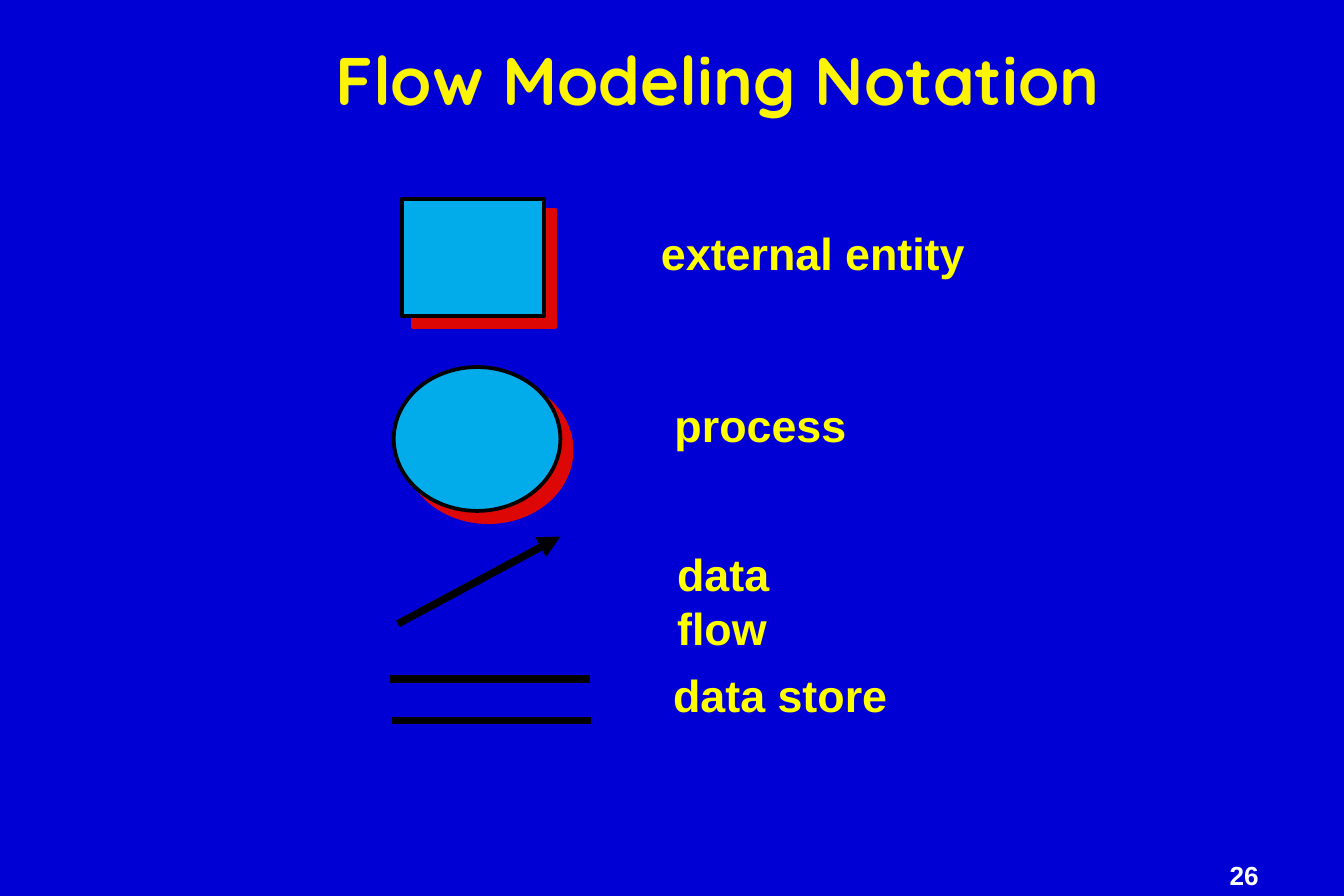
from pptx import Presentation
from pptx.dml.color import RGBColor
from pptx.enum.shapes import MSO_CONNECTOR, MSO_SHAPE
from pptx.enum.text import MSO_ANCHOR as Anchor, MSO_AUTO_SIZE as AutoSize
from pptx.enum.text import PP_ALIGN as Align
from pptx.oxml import parse_xml
from pptx.oxml.ns import nsdecls, qn
from pptx.util import Emu, Inches, Pt

BACKGROUND, YELLOW, LABEL_YELLOW = "0000D4", "FCF305", "FFFF00"
CYAN, RED, BLACK, WHITE = "02ABEA", "DD0806", "000000", "FFFFFF"


def color(hex_string):
    return RGBColor.from_string(hex_string)


class NotationSlide:
    body_font = "Arial"
    title_font = "Quicksand"

    def __init__(self, slide):
        self.slide = slide
        fill = slide.background.fill
        fill.solid()
        fill.fore_color.rgb = color(BACKGROUND)

    def text(self, text, left, top, width, height, size, text_color,
             font=body_font, align=Align.LEFT, anchor=Anchor.TOP,
             wrap=True, spacing=1.0, margins=(0.1, 0.05)):
        box = self.slide.shapes.add_textbox(
            Inches(left), Inches(top), Inches(width), Inches(height))
        frame = box.text_frame
        frame.word_wrap = wrap
        frame.auto_size = AutoSize.SHAPE_TO_FIT_TEXT
        frame.vertical_anchor = anchor
        frame.margin_left = frame.margin_right = Inches(margins[0])
        frame.margin_top = frame.margin_bottom = Inches(margins[1])
        frame.text = text
        paragraph = frame.paragraphs[0]
        paragraph.alignment = align
        paragraph.line_spacing = spacing
        run_font = paragraph.runs[0].font
        run_font.name, run_font.size, run_font.bold = font, Pt(size), True
        run_font.color.rgb = color(text_color)

    def symbol(self, kind, left, top, width, height):
        shape = self.slide.shapes.add_shape(
            kind, Inches(left), Inches(top), Inches(width), Inches(height))
        shape.fill.solid()
        shape.fill.fore_color.rgb = color(CYAN)
        shape.line.color.rgb = color(BLACK)
        shape.line.width = Pt(2)
        # Hard red shadow, down and to the right
        shape.shadow.inherit = False
        effects = shape.element.spPr.find(qn("a:effectLst"))
        effects.append(parse_xml(
            f'<a:outerShdw {nsdecls("a")} blurRad="0" dist="{Pt(8.5)}" '
            f'dir="2700000" algn="ctr" rotWithShape="0">'
            f'<a:srgbClr val="{RED}"/></a:outerShdw>'))

    def line(self, start, end, arrow=False):
        connector = self.slide.shapes.add_connector(
            MSO_CONNECTOR.STRAIGHT, *map(Inches, start + end))
        connector.line.color.rgb = color(BLACK)
        connector.line.width = Pt(4)
        properties = connector.element.spPr
        if arrow:
            properties.find(qn("a:ln")).append(
                parse_xml(f'<a:tailEnd {nsdecls("a")} type="triangle"/>'))
        properties.append(parse_xml(f'<a:effectLst {nsdecls("a")}/>'))


def main():
    presentation = Presentation()
    presentation.slide_width = Inches(10)
    presentation.slide_height = Emu(6092825)
    notation = NotationSlide(
        presentation.slides.add_slide(presentation.slide_layouts[6]))

    # Page number and title
    notation.text("26", 9.08, 6.39, 0.9, 0.27, 14, WHITE,
                  spacing=0.9, margins=(0.07, 0.03))
    notation.text("Flow Modeling Notation", 1.83, 0.31, 7.02, 0.63, 36, YELLOW,
                  font=NotationSlide.title_font, align=Align.CENTER,
                  anchor=Anchor.MIDDLE, spacing=0.88)

    # External entity and process
    notation.symbol(MSO_SHAPE.RECTANGLE, 2.99, 1.48, 1.06, 0.87)
    notation.symbol(MSO_SHAPE.OVAL, 2.93, 2.73, 1.24, 1.07)

    # Data flow arrow and data store bars
    notation.line((2.96, 4.64), (4.17, 3.99), arrow=True)
    notation.line((2.9, 5.05), (4.39, 5.05))
    notation.line((2.92, 5.36), (4.4, 5.36))

    # Labels
    for label, left, top, width in (
            ("external entity", 4.82, 1.63, 2.46),
            ("process", 4.92, 2.91, 1.48),
            ("data flow", 4.94, 4.02, 1.64),
            ("data store", 4.91, 4.92, 1.79)):
        notation.text(label, left, top, width, 0.5, 24, LABEL_YELLOW, wrap=False)

    presentation.save("out.pptx")


if __name__ == "__main__":
    main()
